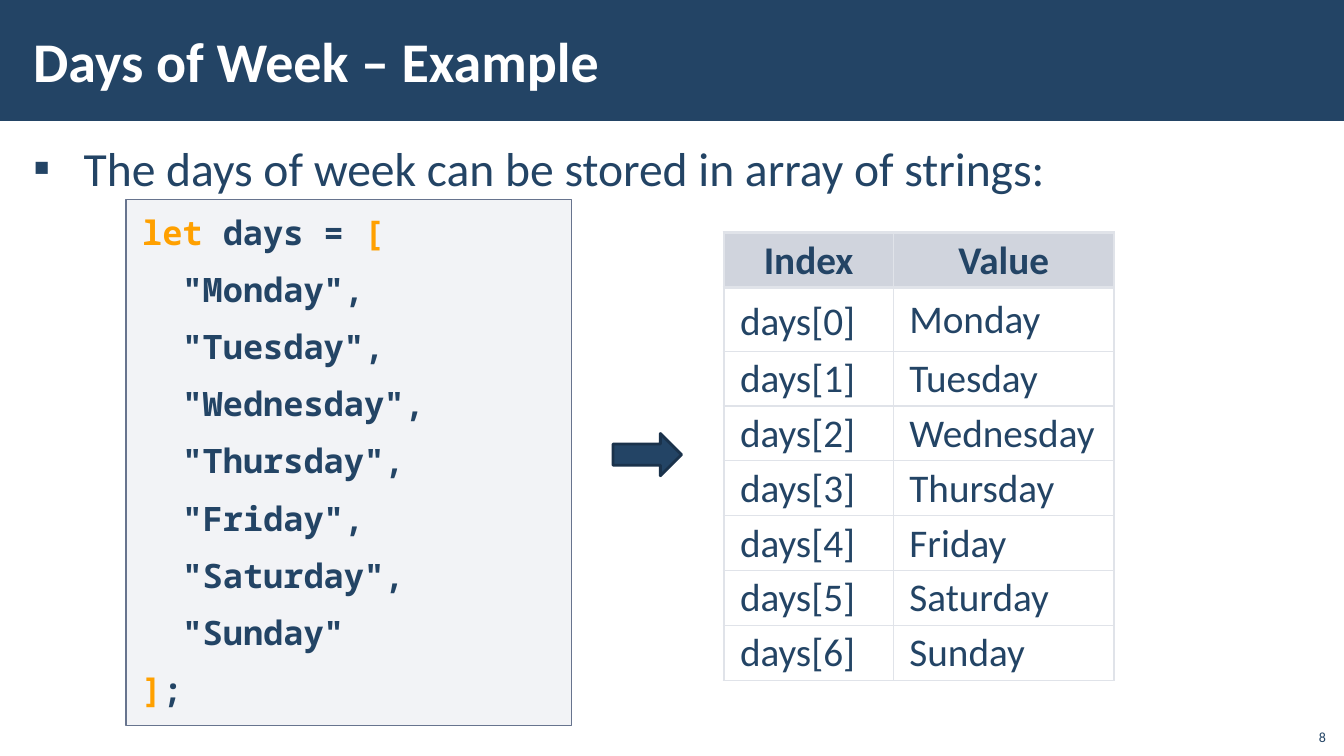
"""Build the slide that shows the days of the week stored in an array."""
import pptx
import pptx.util
import pptx.dml.color
import pptx.enum.shapes
import pptx.enum.text
import pptx.oxml
import pptx.oxml.ns
import lxml.etree

Inches = pptx.util.Inches
Pt = pptx.util.Pt
ALIGN = pptx.enum.text.PP_ALIGN
ANCHOR = pptx.enum.text.MSO_ANCHOR
SHAPES = pptx.enum.shapes.MSO_SHAPE
COLORS = {
    "navy": "234465", "white": "FFFFFF", "orange": "FFA000",
    "code_fill": "ADB4C3", "code_line": "67748E", "arrow_line": "1A324B",
    "header_fill": "A3ABBC", "border": "E0E3E9",
}
DAYS = ["Monday", "Tuesday", "Wednesday", "Thursday", "Friday", "Saturday", "Sunday"]


def add_run(paragraph, text, size=28, font="Calibri", color="navy", bold=False):
    run = paragraph.add_run()
    run.text = text
    run.font.size = Pt(size)
    run.font.name = font
    run.font.bold = bold
    run.font.color.rgb = pptx.dml.color.RGBColor.from_string(COLORS[color])


def set_fill(fill, color, opacity=100):
    fill.solid()
    fill.fore_color.rgb = pptx.dml.color.RGBColor.from_string(COLORS[color])
    if opacity < 100:
        for element in fill._xPr.iter(pptx.oxml.ns.qn("a:srgbClr")):
            alpha = lxml.etree.SubElement(element, pptx.oxml.ns.qn("a:alpha"))
            alpha.set("val", str(opacity * 1000))


presentation = pptx.Presentation()
presentation.slide_width = Inches(13.33)
presentation.slide_height = Inches(7.5)
slide = presentation.slides.add_slide(presentation.slide_layouts[6])

shapes = {}
for name, preset, box, fill, opacity, line, width in [
    ("title band", SHAPES.RECTANGLE, (0, 0, 13.33, 1.2), "navy", 100, None, 0),
    ("code", SHAPES.RECTANGLE, (1.25, 1.98, 4.42, 5.22), "code_fill", 15, "code_line", 1),
    ("arrow", SHAPES.RIGHT_ARROW, (6.08, 4.3, 0.68, 0.42), "navy", 100, "arrow_line", 2),
]:
    shape = slide.shapes.add_shape(preset, *map(Inches, box))
    shape.shadow.inherit = False
    set_fill(shape.fill, fill, opacity)
    if line:
        set_fill(shape.line.fill, line)
        shape.line.width = Pt(width)
    else:
        shape.line.fill.background()
    shapes[name] = shape

paragraphs = {}
for name, box, anchor, text, text_format in [
    ("title", (0.21, 0.11, 10.63, 0.97), ANCHOR.MIDDLE, "Days of Week – Example",
     {"size": 40, "color": "white", "bold": True}),
    ("bullet", (0.21, 1.31, 12.92, 0.67), ANCHOR.TOP,
     "The days of week can be stored in array of strings:", {"size": 34}),
    ("slide number", (12.85, 7.12, 0.4, 0.32), ANCHOR.BOTTOM, "8", {"size": 10}),
]:
    text_box = slide.shapes.add_textbox(*map(Inches, box))
    frame = text_box.text_frame
    frame.word_wrap = True
    frame.vertical_anchor = anchor
    if name != "slide number":
        frame.margin_left = frame.margin_right = Inches(0.12)
        frame.margin_top = frame.margin_bottom = Inches(0.04)
    paragraphs[name] = frame.paragraphs[0]
    add_run(paragraphs[name], text, **text_format)

paragraphs["slide number"].alignment = ALIGN.RIGHT
bullet = paragraphs["bullet"]
bullet.line_spacing = 1.05
bullet.space_before = bullet.space_after = Pt(6)
bullet_properties = bullet._p.get_or_add_pPr()
bullet_properties.set("marL", str(Inches(0.5)))
bullet_properties.set("indent", str(-Inches(0.5)))
for tag, attribute, value in [("a:buFont", "typeface", "Calibri"), ("a:buChar", "char", "▪")]:
    bullet_part = lxml.etree.SubElement(bullet_properties, pptx.oxml.ns.qn(tag))
    bullet_part.set(attribute, value)

code_lines = [[("let ", "orange"), ("days = ", "navy"), ("[", "orange")]]
for day in DAYS:
    comma = "" if day == DAYS[-1] else ","
    code_lines.append([(f'  "{day}"{comma}', "navy")])
code_lines.append([("]", "orange"), (";", "navy")])

frame = shapes["code"].text_frame
frame.word_wrap = True
frame.auto_size = pptx.enum.text.MSO_AUTO_SIZE.SHAPE_TO_FIT_TEXT
frame.vertical_anchor = ANCHOR.TOP
frame.margin_left = frame.margin_right = Inches(0.16)
frame.margin_top = frame.margin_bottom = Inches(0.12)
for index, parts in enumerate(code_lines):
    paragraph = frame.paragraphs[0] if index == 0 else frame.add_paragraph()
    paragraph.alignment = ALIGN.LEFT
    paragraph.space_before = paragraph.space_after = Pt(6)
    for text, color in parts:
        add_run(paragraph, text, size=24, font="Noto Sans Mono", color=color, bold=True)

rows = [("Index", "Value")] + [(f"days[{index}]", day) for index, day in enumerate(DAYS)]
table = slide.shapes.add_table(
    len(rows), 2, Inches(7.18), Inches(2.31), Inches(3.87), Inches(4.41)).table
table.horz_banding = False
table.columns[0].width = Inches(1.68)
table.columns[1].width = Inches(2.19)
for row, values in enumerate(rows):
    table.rows[row].height = Inches(0.63 if row == 1 else 0.54)
    for column, value in enumerate(values):
        cell = table.cell(row, column)
        cell.vertical_anchor = ANCHOR.MIDDLE
        cell.margin_left = cell.margin_right = Inches(0.16)
        cell.margin_top = cell.margin_bottom = Inches(0.05)
        paragraph = cell.text_frame.paragraphs[0]
        paragraph.alignment = ALIGN.CENTER if row == 0 else ALIGN.LEFT
        paragraph.line_spacing = Pt(38) if (row, column) == (1, 0) else 0.95
        add_run(paragraph, value, bold=row == 0)
        thick_sides = {"L": column == 0, "R": column == 1, "T": row < 2, "B": row == 0}
        for side, thick in thick_sides.items():
            border = lxml.etree.SubElement(
                cell._tc.get_or_add_tcPr(), pptx.oxml.ns.qn(f"a:ln{side}"))
            border.set("w", str(Pt(2.25 if thick else 1)))
            border_fill = lxml.etree.SubElement(border, pptx.oxml.ns.qn("a:solidFill"))
            border_color = lxml.etree.SubElement(border_fill, pptx.oxml.ns.qn("a:srgbClr"))
            border_color.set("val", COLORS["border"])
        if row == 0:
            set_fill(cell.fill, "header_fill", 50)
        else:
            cell.fill.background()

presentation.save("out.pptx")
